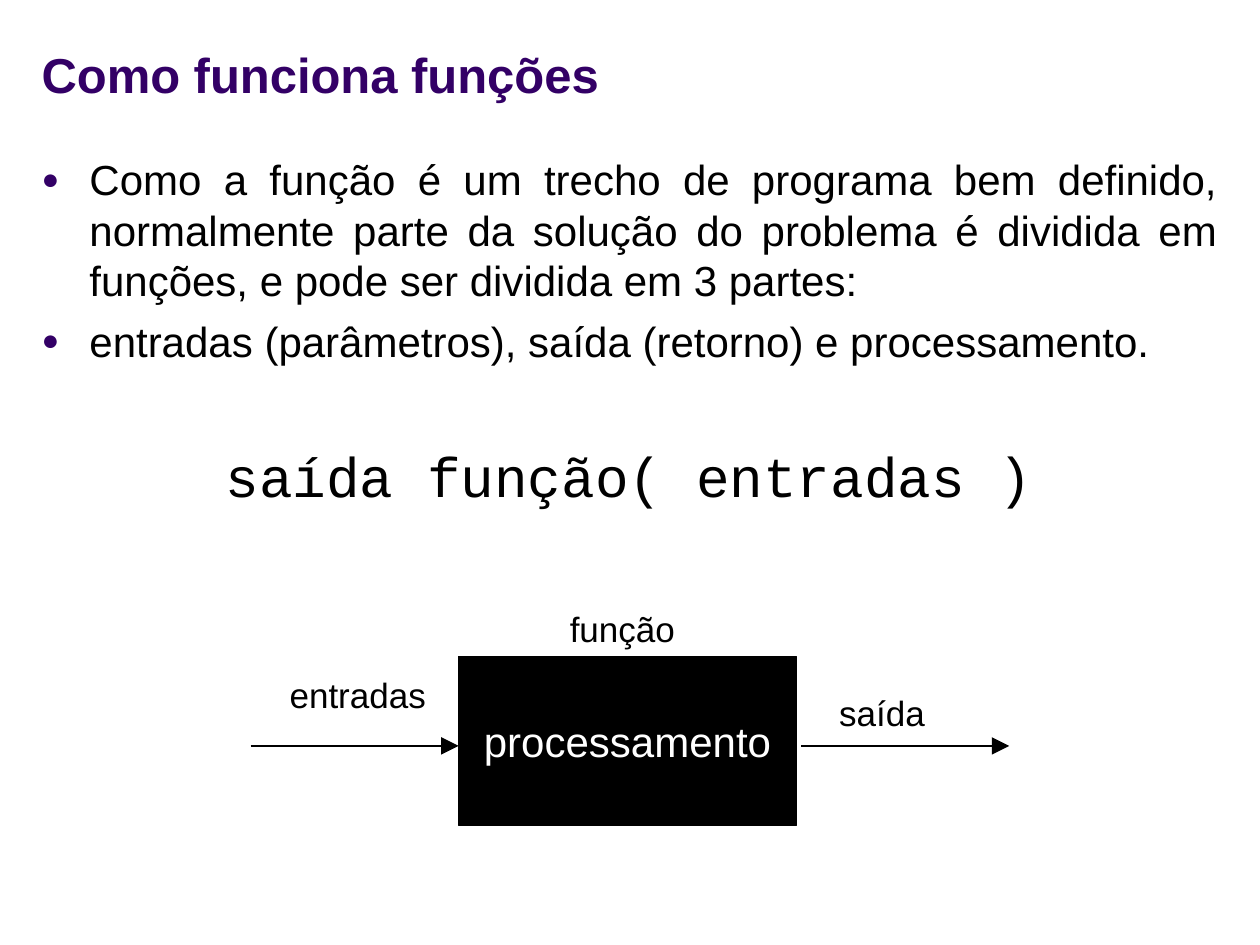
from lxml import etree
from pptx import Presentation
from pptx.dml.color import RGBColor
from pptx.enum.shapes import MSO_CONNECTOR as Link, MSO_SHAPE as Shape
from pptx.enum.text import MSO_ANCHOR as Anchor, MSO_AUTO_SIZE as Fit, PP_ALIGN as Align
from pptx.oxml.ns import qn
from pptx.util import Inches, Pt

INK, PAPER, ACCENT = "000000", "FFFFFF", "330066"


def paint(color, value):
    color.rgb = RGBColor.from_string(value)


def write(paragraph, words, color, font, layout):
    run = paragraph.add_run()
    run.text = words
    paint(run.font.color, color)
    for target, values in ((run.font, font), (paragraph, layout)):
        for key, value in values.items():
            setattr(target, key, value)


deck = Presentation()
deck.slide_width, deck.slide_height = Inches(10), Inches(7.5)
col, row = deck.slide_width // 100, deck.slide_height // 75
slide = deck.slides.add_slide(deck.slide_layouts[1])

heading, explanation = slide.placeholders
for part, top, height, anchor in (
    (heading, 0, 11.7, Anchor.MIDDLE),
    (explanation, 11.7, 59.4, Anchor.TOP),
):
    place = {
        "left": int(2.3 * col),
        "top": int(top * row),
        "width": int(95.3 * col),
        "height": int(height * row),
    }
    frame = {"word_wrap": True, "auto_size": Fit.NONE, "vertical_anchor": anchor}
    for target, values in ((part, place), (part.text_frame, frame)):
        for key, value in values.items():
            setattr(target, key, value)

write(
    heading.text_frame.paragraphs[0],
    "Como funciona funções",
    ACCENT,
    {"name": "Arial", "size": Pt(28), "bold": True},
    {"alignment": Align.LEFT},
)

body = explanation.text_frame
points = (
    "Como a função é um trecho de programa bem definido, normalmente parte da "
    "solução do problema é dividida em funções, e pode ser dividida em 3 partes:",
    "entradas (parâmetros), saída (retorno) e processamento.",
)
for index, point in enumerate(points):
    paragraph = body.add_paragraph() if index else body.paragraphs[0]
    write(
        paragraph,
        point,
        INK,
        {"name": "Arial", "size": Pt(24)},
        {"alignment": Align.JUSTIFY, "space_before": Pt(6)},
    )
    props = paragraph._p.get_or_add_pPr()
    props.set("marL", str(Inches(0.38)))
    props.set("indent", str(-Inches(0.38)))
    tint = etree.SubElement(props, qn("a:buClr"))
    etree.SubElement(tint, qn("a:srgbClr"), val=ACCENT)
    etree.SubElement(props, qn("a:buSzPct"), val="70000")
    etree.SubElement(props, qn("a:buFont"), typeface="Arial")
    etree.SubElement(props, qn("a:buChar"), char="●")

signature = body.add_paragraph()
write(
    signature,
    "saída função( entradas )",
    INK,
    {"name": "Courier New", "size": Pt(32)},
    {"alignment": Align.CENTER, "space_before": Pt(43)},
)
props = signature._p.get_or_add_pPr()
props.set("marL", "0")
props.set("indent", "0")
etree.SubElement(props, qn("a:buNone"))

process = slide.shapes.add_shape(
    Shape.RECTANGLE, int(36.4 * col), int(52.1 * row), int(26.8 * col), int(13.4 * row)
)
process.shadow.inherit = False
process.fill.solid()
paint(process.fill.fore_color, INK)
paint(process.line.color, INK)
process.line.width = Pt(0.75)
process.text_frame.word_wrap = False
process.text_frame.vertical_anchor = Anchor.MIDDLE
write(
    process.text_frame.paragraphs[0],
    "processamento",
    PAPER,
    {"name": "Arial", "size": Pt(24)},
    {"alignment": Align.CENTER},
)

level = int(59.2 * row)
for start in (19.9, 63.6):
    arrow = slide.shapes.add_connector(
        Link.STRAIGHT, int(start * col), level, int((start + 16.5) * col), level
    )
    paint(arrow.line.color, INK)
    arrow.line.width = Pt(0.75)
    etree.SubElement(
        arrow.line._get_or_add_ln(), qn("a:tailEnd"), type="triangle", w="lg", len="lg"
    )
    etree.SubElement(arrow._element.spPr, qn("a:effectLst"))

for caption, left, top, width in (
    ("entradas", 21.8, 53, 13.2),
    ("saída", 65.4, 54.4, 9.2),
    ("função", 43.9, 47.7, 11),
):
    label = slide.shapes.add_textbox(
        int(left * col), int(top * row), int(width * col), int(4.4 * row)
    )
    label.text_frame.word_wrap = False
    label.text_frame.auto_size = Fit.SHAPE_TO_FIT_TEXT
    write(
        label.text_frame.paragraphs[0],
        caption,
        INK,
        {"name": "Arial", "size": Pt(20)},
        {"alignment": Align.CENTER},
    )

deck.save("out.pptx")
